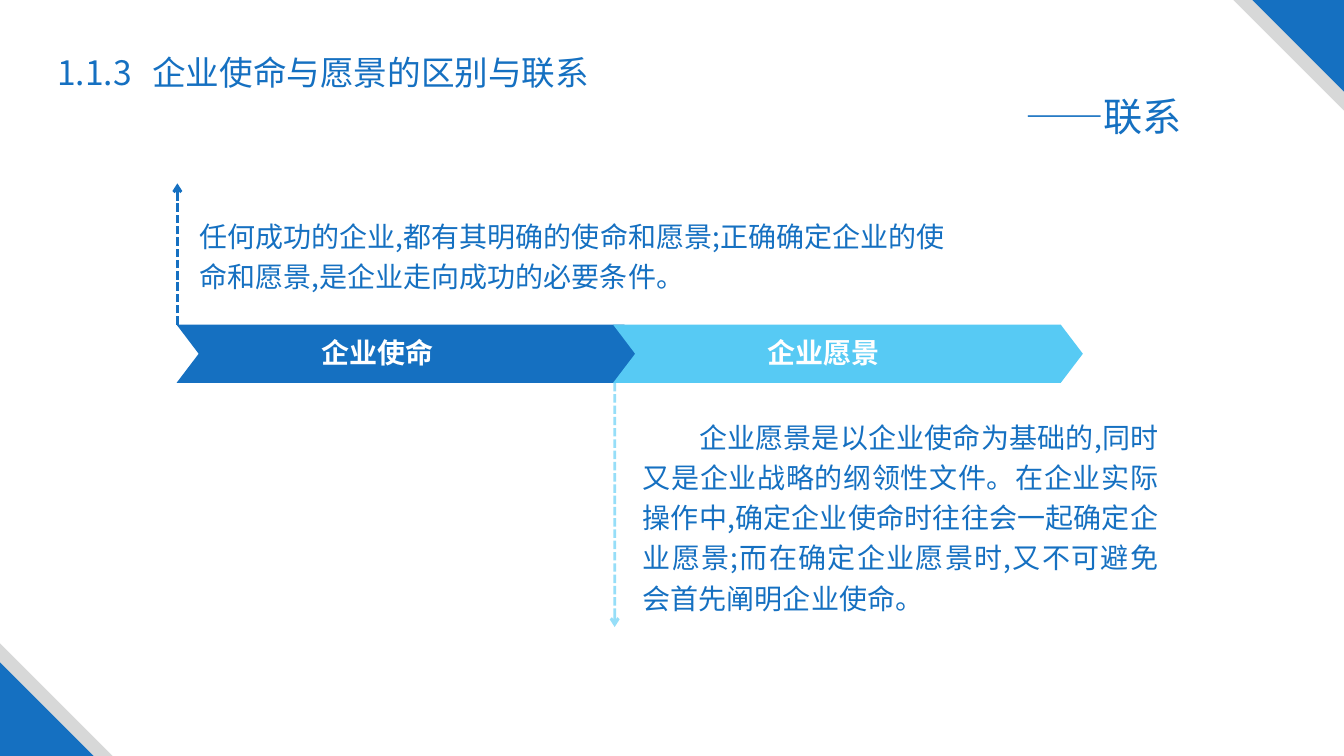
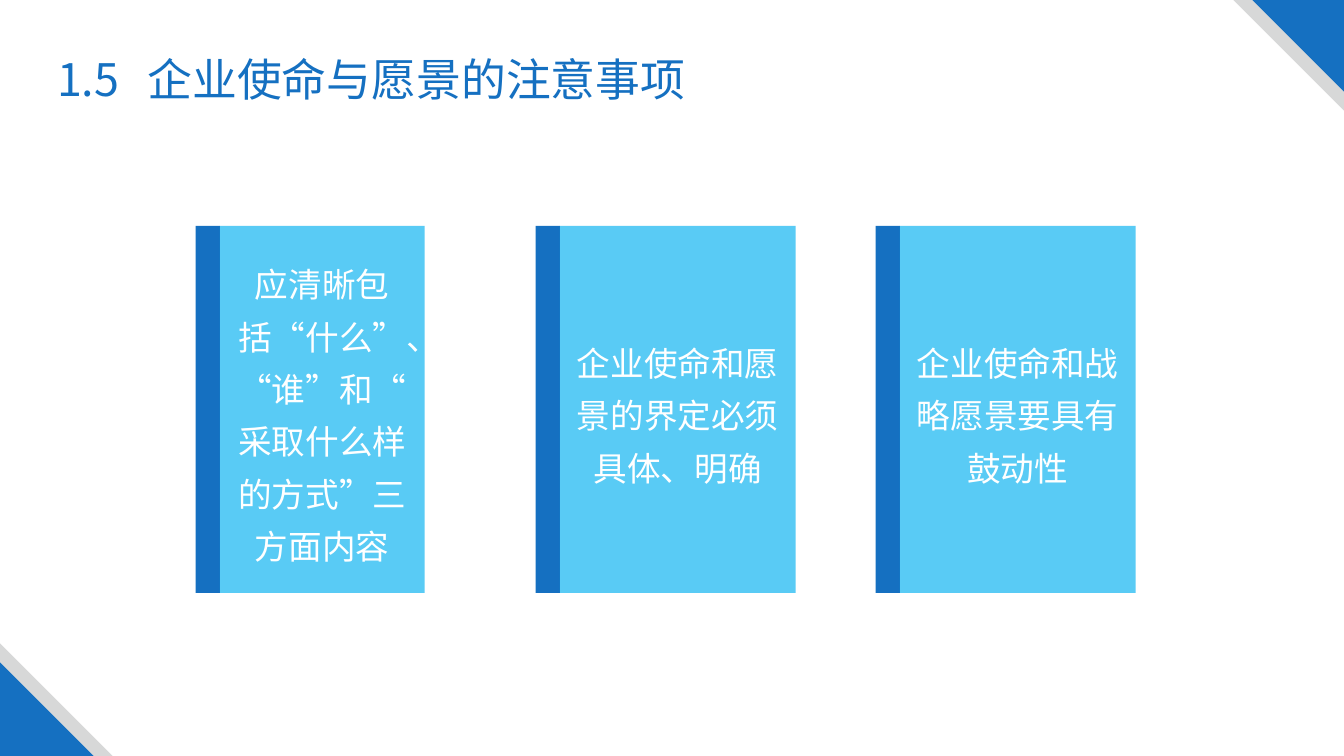
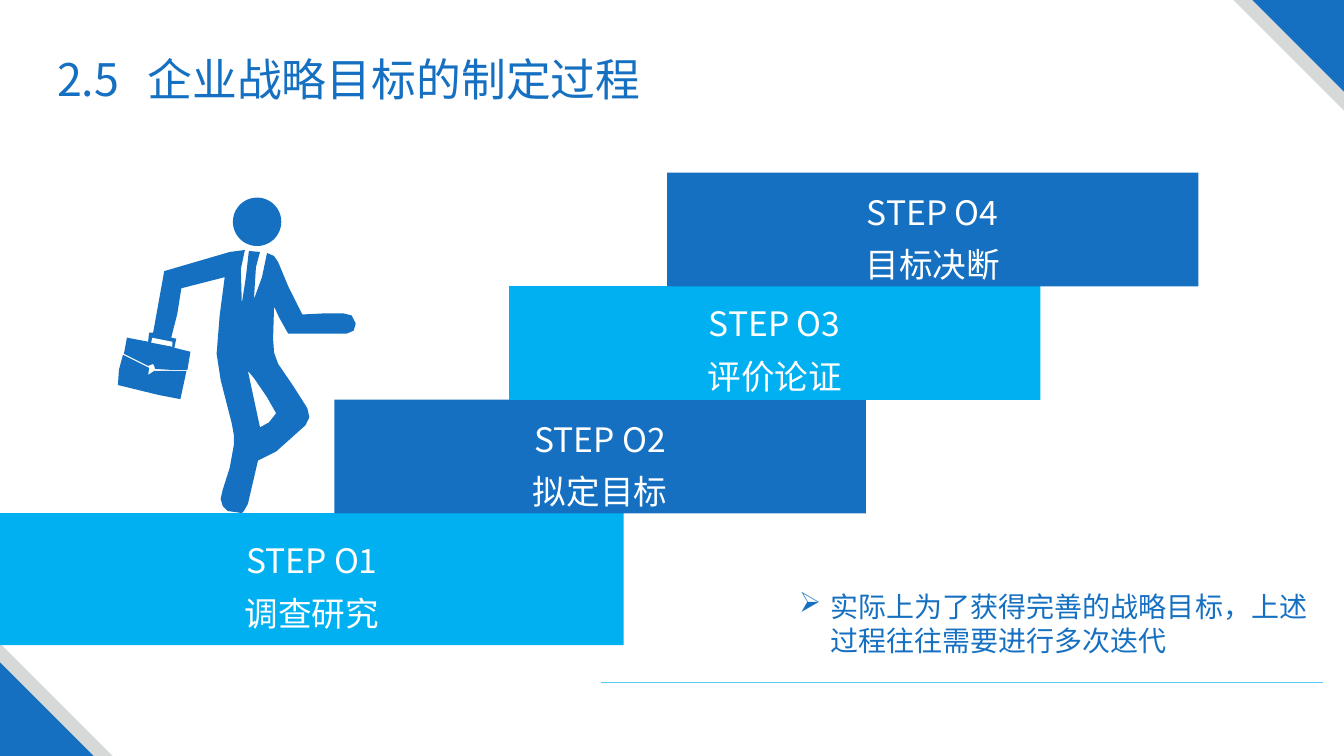
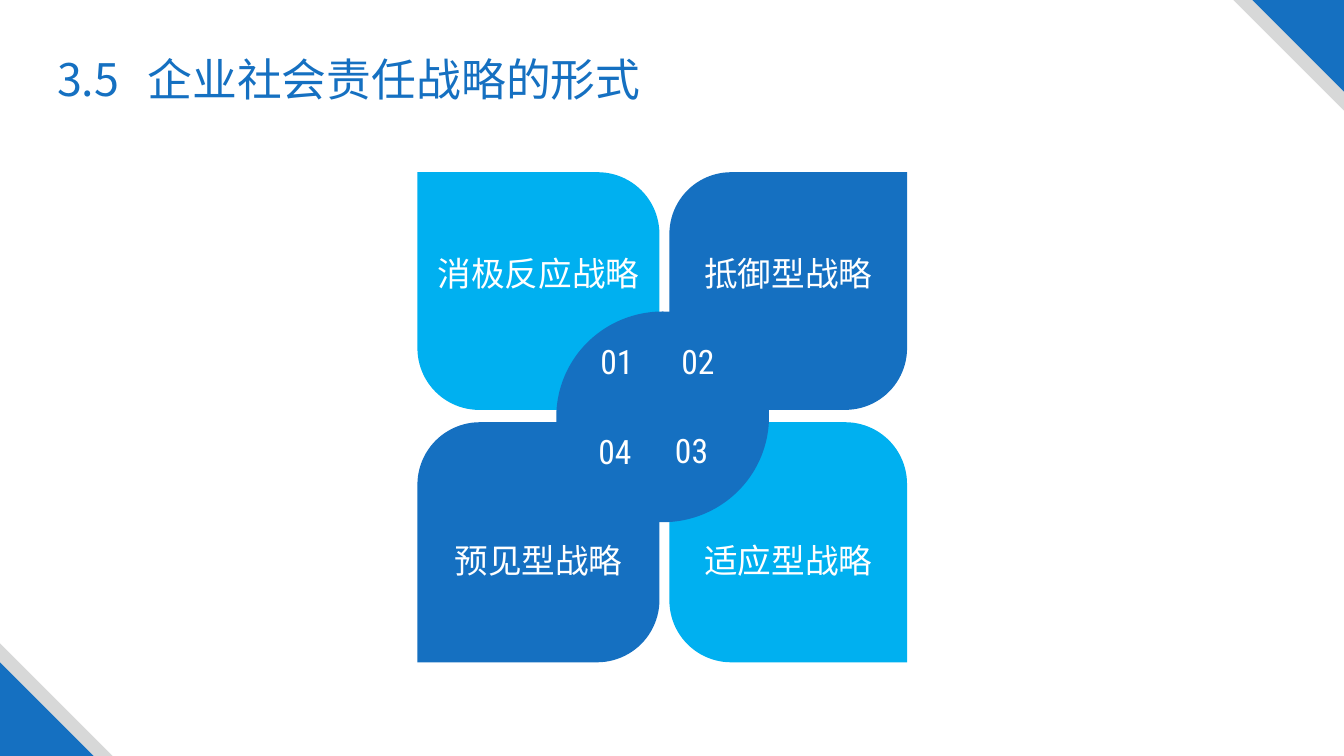
from lxml.etree import SubElement
from pptx import Presentation
from pptx.dml.color import RGBColor
from pptx.enum.dml import MSO_LINE
from pptx.enum.shapes import MSO_CONNECTOR, MSO_SHAPE
from pptx.enum.text import MSO_ANCHOR, MSO_AUTO_SIZE, PP_ALIGN
from pptx.oxml.ns import qn
from pptx.util import Cm, Pt

WIDE, HIGH = 33.87, 19.05
BLUE, SKY, PALE, GREY, WHITE = "1570C1", "00B0F0", "57CAF4", "D7D8D8", "FFFFFF"
SANS, SLIM = "Noto Sans CJK SC", "Roboto Condensed"
MID = PP_ALIGN.CENTER

TITLES = [
    "1.1.3\t企业使命与愿景的区别与联系",
    "1.5\t企业使命与愿景的注意事项",
    "2.5\t企业战略目标的制定过程",
    "3.5\t企业社会责任战略的形式",
]
LINK = "——联系"
ARROWS = [("企业使命", BLUE), ("企业愿景", PALE)]
ABOVE = "任何成功的企业,都有其明确的使命和愿景;正确确定企业的使命和愿景,是企业走向成功的必要条件。"
BELOW = ("企业愿景是以企业使命为基础的,同时又是企业战略的纲领性文件。在企业实际操作中,"
         "确定企业使命时往往会一起确定企业愿景;而在确定企业愿景时,又不可避免会首先阐明企业使命。")
CARDS = [
    ("应清晰包括“什么”、“谁”和“采取什么样的方式”三方面内容", 5.16),
    ("企业使命和愿景的界定必须具体、明确", 5.94),
    ("企业使命和战略愿景要具有鼓动性", 5.94),
]
STEPS = [
    ("STEP O1", "调查研究", 0, 15.72, 3.33, 0.38, SKY),
    ("STEP O2", "拟定目标", 8.43, 13.39, 2.87, 0.18, BLUE),
    ("STEP O3", "评价论证", 12.83, 13.39, 2.87, 0.13, SKY),
    ("STEP O4", "目标决断", 16.81, 13.39, 2.87, 0.18, BLUE),
]
NOTE = "实际上为了获得完善的战略目标，上述过程往往需要进行多次迭代"
COLS = [(10.52, 6.1), (16.87, 5.99)]
ROWS = [(4.34, 5.99, 6.25), (10.64, 6.05, 13.49)]
PETALS = [
    ("消极反应战略", 0, 0, SKY),
    ("抵御型战略", 1, 0, BLUE),
    ("预见型战略", 0, 1, BLUE),
    ("适应型战略", 1, 1, SKY),
]
MARKS = [("01", 14.88, 8.46), ("02", 16.92, 8.46), ("04", 14.83, 10.74), ("03", 16.76, 10.72)]

BODY = [
    [(228, 250), (243, 248), (239, 267), (240, 301), (244, 275), (247, 249), (258, 250),
     (254, 265), (252, 297), (260, 275), (265, 251), (272, 254), (276, 260), (286, 284),
     (300, 312), (320, 311), (341, 311), (349, 313), (353, 321), (351, 328), (344, 331),
     (286, 331), (277, 315), (272, 304), (271, 336), (272, 350), (276, 361), (291, 383),
     (305, 405), (307, 414), (303, 422), (293, 431), (274, 448), (256, 457), (246, 500),
     (242, 507), (240, 509), (226, 507), (221, 502), (219, 495), (221, 486), (228, 464),
     (232, 442), (232, 431), (230, 420), (219, 377), (215, 351), (218, 313), (223, 275),
     (180, 286), (176, 311), (170, 335), (175, 336), (173, 345), (189, 349), (186, 367),
     (170, 367), (154, 366), (153, 363), (152, 361), (147, 363), (123, 351), (126, 335),
     (147, 339), (148, 330), (152, 330), (163, 269)],
    [(150, 340), (171, 344), (171, 339), (151, 335)],
    [(246, 368), (252, 396), (258, 424), (267, 419), (274, 410), (265, 394), (252, 375)],
]
CASE = [[(122, 352), (148, 365), (147, 372), (153, 368), (185, 368), (179, 396), (158, 392),
         (117, 382), (118, 367)]]


def rgb(code):
    return RGBColor.from_string(code)


def put(item, **vals):
    for key, val in vals.items():
        setattr(item, key, val)


def paint(shape, fill, alpha=None):
    shape.shadow.inherit = False
    shape.fill.solid()
    shape.fill.fore_color.rgb = rgb(fill)
    shape.line.fill.background()
    if alpha:
        fade(shape, alpha)
    return shape


def fade(shape, alpha):
    tone = next(shape._element.spPr.iter(qn("a:srgbClr")))
    SubElement(tone, qn("a:alpha"), val=str(alpha * 1000))


def draw(page, kind, x, y, w, h, fill, alpha=None):
    return paint(page.shapes.add_shape(kind, Cm(x), Cm(y), Cm(w), Cm(h)), fill, alpha)


def write(para, text, size, tone, face=SANS, bold=False, **form):
    put(para, **form)
    run = para.add_run()
    put(run, text=text)
    put(run.font, name=face, size=Pt(size), bold=bold)
    run.font.color.rgb = rgb(tone)
    props = run._r.get_or_add_rPr()
    props.set("lang", "zh-CN")
    SubElement(props, qn("a:ea"), typeface=face)


def label(page, text, x, y, w, h, size, tone, wrap=True, **form):
    frame = page.shapes.add_textbox(Cm(x), Cm(y), Cm(w), Cm(h)).text_frame
    put(frame, word_wrap=wrap, auto_size=MSO_AUTO_SIZE.SHAPE_TO_FIT_TEXT)
    write(frame.paragraphs[0], text, size, tone, **form)
    return frame


def rule(page, x, y, right, low, tone, width, alpha=None, arrow=False):
    line = page.shapes.add_connector(MSO_CONNECTOR.STRAIGHT, Cm(x), Cm(y), Cm(right), Cm(low))
    put(line.line, width=Pt(width))
    line.line.color.rgb = rgb(tone)
    if alpha:
        fade(line, alpha)
    if arrow:
        line.line.dash_style = MSO_LINE.SQUARE_DOT
        SubElement(line.line._get_or_add_ln(), qn("a:tailEnd"), type="arrow")
    SubElement(line._element.spPr, qn("a:effectLst"))


def outline(page, loops, fill):
    pen = page.shapes.build_freeform(*loops[0][0], scale=Cm(2.54) / 100)
    for turn, loop in enumerate(loops):
        if turn:
            pen.move_to(*loop[0])
        pen.add_line_segments(loop[1:], close=True)
    paint(pen.convert_to_shape(), fill)


def start(deck, title, size=32, tab=2.28, w=16.84, h=1.63):
    page = deck.slides.add_slide(deck.slide_layouts[6])
    for big, small, tone in [(2.79, 2.84, GREY), (2.31, 2.36, BLUE)]:
        top = draw(page, MSO_SHAPE.RIGHT_TRIANGLE, WIDE - big, 0, big, big, tone)
        top.rotation = 180
        draw(page, MSO_SHAPE.RIGHT_TRIANGLE, 0, HIGH - small, small, small, tone)
    frame = label(page, title, 1.19, 1.19, w, h, size, BLUE)
    tabs = SubElement(frame.paragraphs[0]._p.get_or_add_pPr(), qn("a:tabLst"))
    SubElement(tabs, qn("a:tab"), pos=str(Cm(tab)), algn="l")
    return page, frame


def relate(deck):
    page, frame = start(deck, TITLES[0], 24, 2.4, 28.85, 2.49)
    write(frame.add_paragraph(), LINK, 28, BLUE, alignment=PP_ALIGN.RIGHT)
    rule(page, 15.49, 9.65, 15.49, 15.8, PALE, 2, 61, True)
    rule(page, 4.47, 8.18, 4.47, 4.62, BLUE, 2, arrow=True)
    for i, (text, tone) in enumerate(ARROWS):
        band = draw(page, MSO_SHAPE.CHEVRON, 4.45 + 11 * i, 8.18, 11.84, 1.47, tone)
        band.adjustments[0] = 0.38
        label(page, text, 7.85 + 11.25 * i, 8.32, 6.58, 1.12, 20, WHITE, bold=True)
    label(page, ABOVE, 4.78, 5.23, 19.71, 2.31, 20, BLUE, line_spacing=1.2)
    frame = label(page, BELOW, 15.95, 10.29, 13.49, 6.4, 20, BLUE,
                  line_spacing=1.2, alignment=PP_ALIGN.JUSTIFY)
    frame.paragraphs[0]._p.get_or_add_pPr().set("indent", str(Cm(1.42)))


def advise(deck):
    page, _ = start(deck, TITLES[1])
    top, high, bar = 5.69, 9.25, 0.61
    for i, (text, wide) in enumerate(CARDS):
        x = 4.93 + 8.57 * i
        draw(page, MSO_SHAPE.RECTANGLE, x, top, bar, high, BLUE)
        card = draw(page, MSO_SHAPE.RECTANGLE, x + bar, top, wide, high, SKY, 65)
        put(card.text_frame, word_wrap=True, vertical_anchor=MSO_ANCHOR.MIDDLE)
        write(card.text_frame.paragraphs[0], text, 24, WHITE, alignment=MID, line_spacing=1.3)


def climb(deck):
    page, _ = start(deck, TITLES[2])
    outline(page, BODY, BLUE)
    outline(page, CASE, BLUE)
    draw(page, MSO_SHAPE.OVAL, 5.87, 4.98, 1.22, 1.22, BLUE)
    for i, (step, name, x, w, h, pad, tone) in enumerate(STEPS):
        stair = draw(page, MSO_SHAPE.RECTANGLE, x, 12.93 - 2.86 * i, w, h, tone)
        frame = stair.text_frame
        put(frame, word_wrap=True, vertical_anchor=MSO_ANCHOR.TOP,
            margin_top=Cm(pad), margin_bottom=0)
        for para, text in [(frame.paragraphs[0], step), (frame.add_paragraph(), name)]:
            write(para, text, 24, WHITE, alignment=MID, line_spacing=1.3)
    frame = label(page, NOTE, 19.89, 14.73, 13.46, 1.96, 20, BLUE)
    props = frame.paragraphs[0]._p.get_or_add_pPr()
    props.set("marL", str(Cm(0.79)))
    props.set("indent", str(-Cm(0.79)))
    SubElement(props, qn("a:buChar"), char="➢")
    rule(page, 15.14, 17.2, 33.35, 17.2, PALE, 0.5)


def bloom(deck):
    page, _ = start(deck, TITLES[3])
    for text, col, row, tone in PETALS:
        (x, w), (y, h, base) = COLS[col], ROWS[row]
        petal = draw(page, MSO_SHAPE.ROUND_2_DIAG_RECTANGLE, x, y, w, h, tone)
        same = col == row
        petal.adjustments[0] = 0 if same else 0.26
        petal.adjustments[1] = 0.26 if same else 0
        label(page, text, x, base, w, 1.27, 24, WHITE, alignment=MID)
    draw(page, MSO_SHAPE.OVAL, 14.02, 7.85, 5.36, 5.31, BLUE)
    for text, x, y in MARKS:
        label(page, text, x, y, 1.8, 1.73, 24, WHITE, wrap=False, face=SLIM)


def main():
    deck = Presentation()
    put(deck, slide_width=Cm(WIDE), slide_height=Cm(HIGH))
    for build in (relate, advise, climb, bloom):
        build(deck)
    deck.save("out.pptx")


if __name__ == "__main__":
    main()
